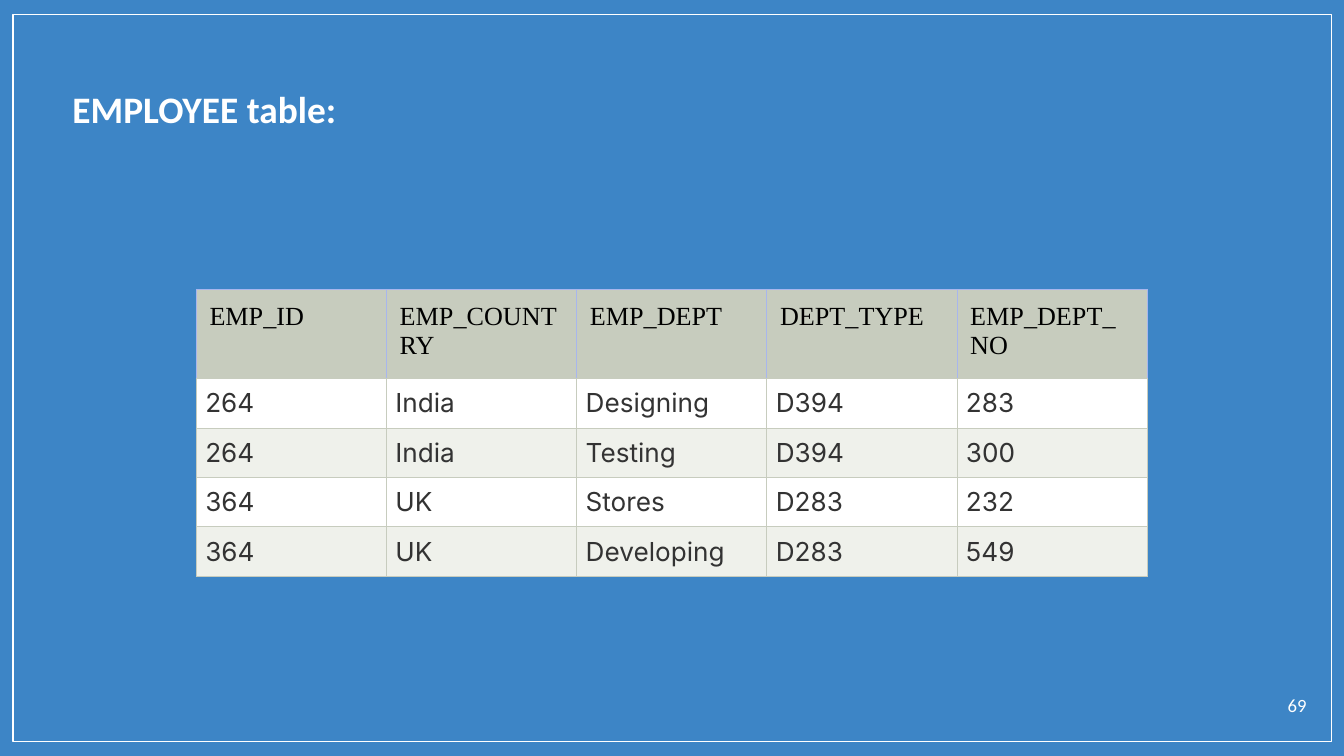
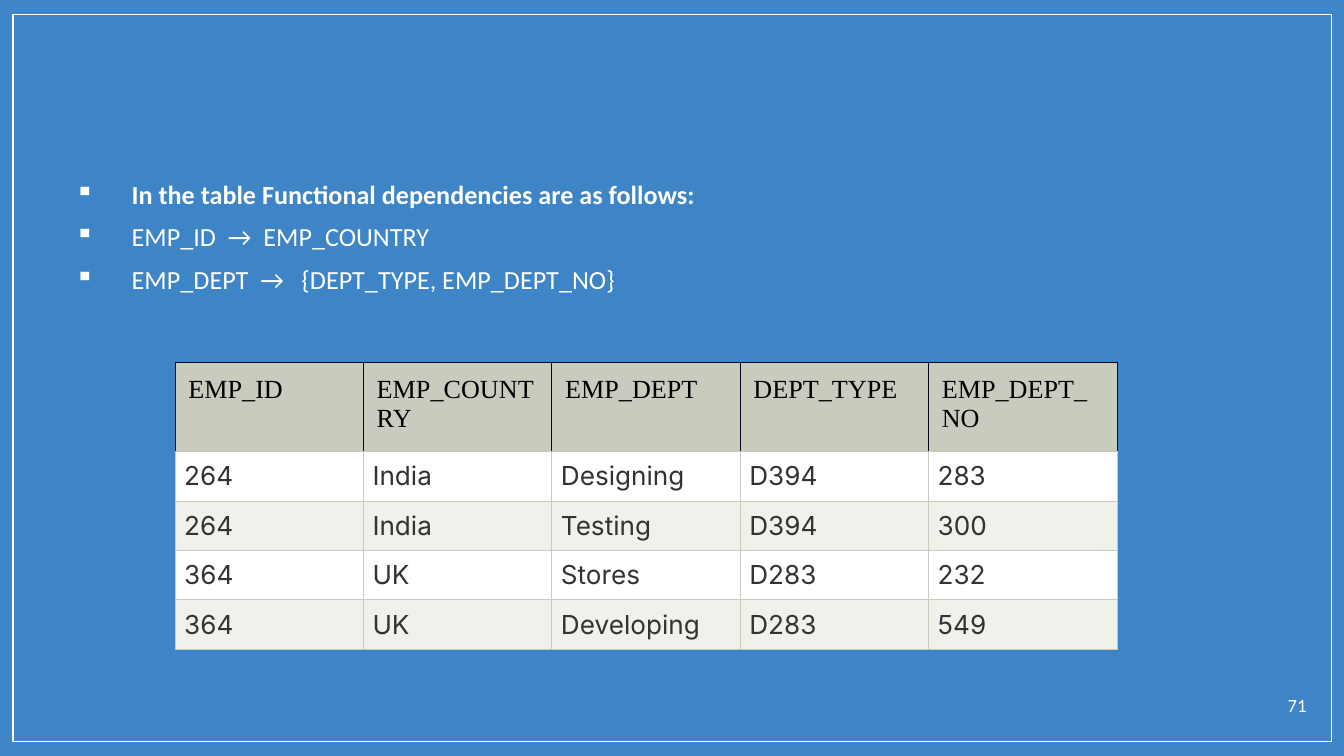
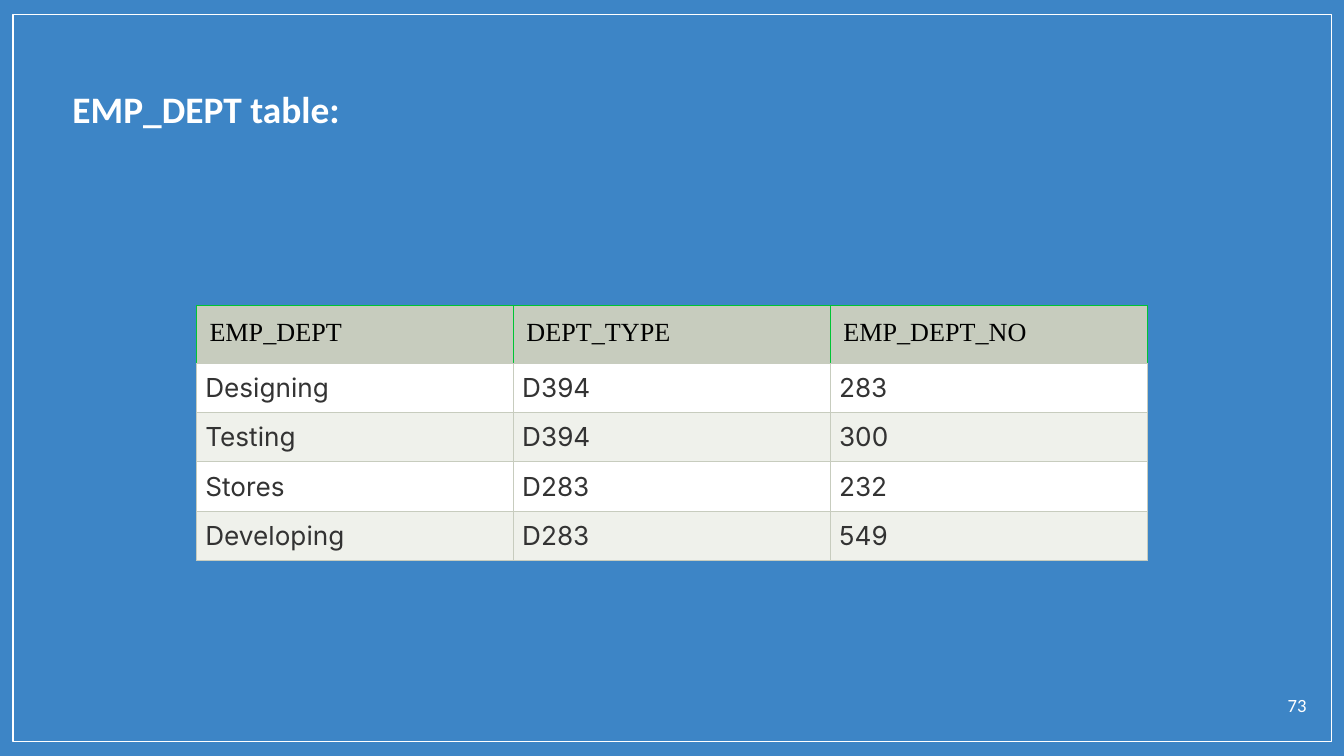
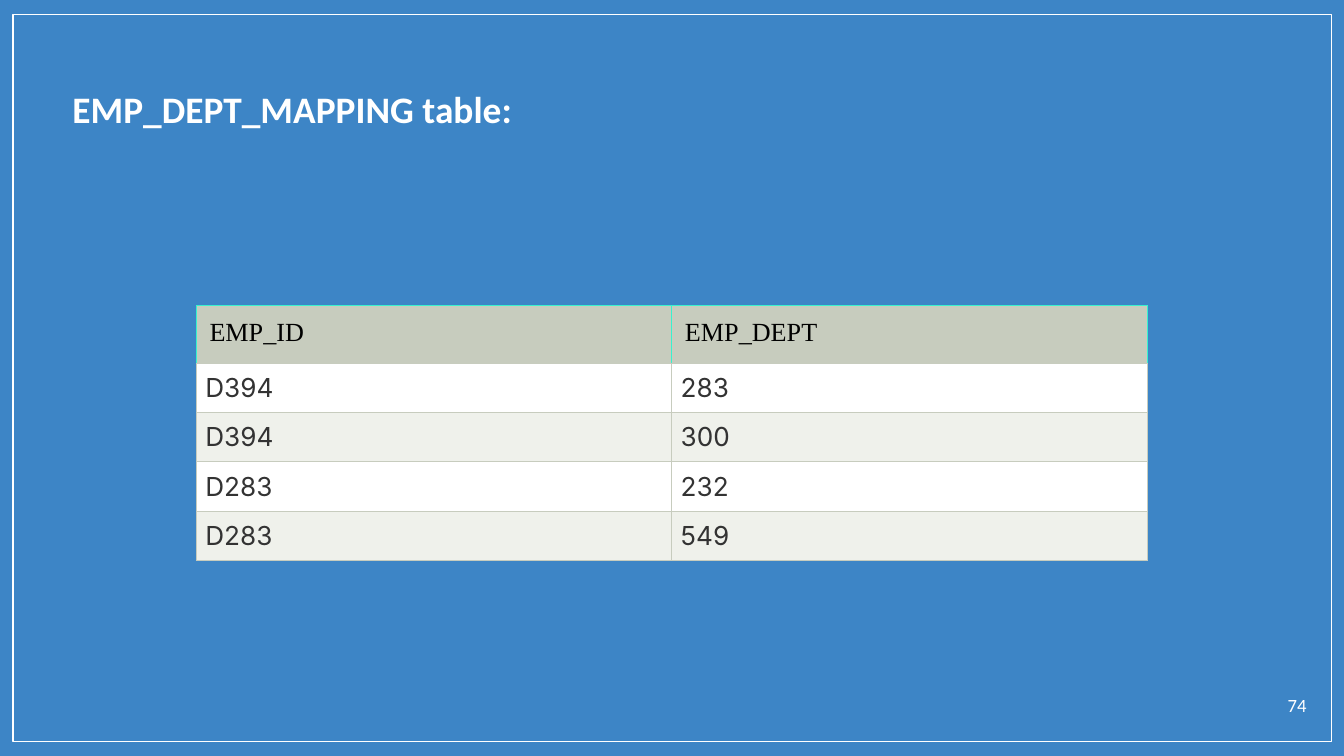
import pptx
import pptx.dml.color
import pptx.enum.shapes
import pptx.enum.text
import pptx.oxml
import pptx.oxml.ns
import pptx.util

Cm = pptx.util.Cm
Pt = pptx.util.Pt
ALIGN = pptx.enum.text.PP_ALIGN

# Shared colours and text formats
BLUE, WHITE, SAGE, PALE = "3D85C6", "FFFFFF", "C7CCBE", "EFF1EB"
TITLE = {"name": "Calibri", "size": Pt(20), "bold": True, "color": WHITE}
BODY = {"name": "Calibri", "size": Pt(14), "bold": False, "color": WHITE}
PAGE = {"name": "Calibri", "size": Pt(10), "color": WHITE}
HEAD = {"name": "Times New Roman", "size": Pt(14), "bold": False, "color": "000000"}
CELL = {"name": "Inter", "size": Pt(14), "bold": False, "color": "333333"}

# Table content; the smaller tables use the last columns
NAMES = ["EMP_ID", "EMP_COUNTRY", "EMP_DEPT", "DEPT_TYPE", "EMP_DEPT_NO"]
STAFF = [
    ["264", "India", "Designing", "D394", "283"],
    ["264", "India", "Testing", "D394", "300"],
    ["364", "UK", "Stores", "D283", "232"],
    ["364", "UK", "Developing", "D283", "549"],
]
RULES = [
    "In the table Functional dependencies are as follows:",
    "EMP_ID  →  EMP_COUNTRY",
    "EMP_DEPT  →   {DEPT_TYPE, EMP_DEPT_NO}",
]


def paint(hue):
    return pptx.dml.color.RGBColor.from_string(hue)


def add_xml(parent, body):
    space = pptx.oxml.ns.nsdecls("a")
    parent.append(pptx.oxml.parse_xml(body.replace(">", f" {space}>", 1)))


def write(para, text, form):
    run = para.add_run()
    run.text = text
    for key, value in form.items():
        if key == "color":
            run.font.color.rgb = paint(value)
        else:
            setattr(run.font, key, value)


def inset(target, gap):
    for side in ("left", "top", "right", "bottom"):
        setattr(target, f"margin_{side}", Cm(gap))


def add_text(slide, place, lines, form, align=ALIGN.LEFT):
    """Add a text box and return its paragraphs."""
    frame = slide.shapes.add_textbox(*map(Cm, place)).text_frame
    frame.word_wrap = True
    inset(frame, 0.25)
    for i, line in enumerate(lines):
        para = frame.add_paragraph() if i else frame.paragraphs[0]
        para.alignment = align
        write(para, line, form)
    return frame.paragraphs


def add_list(slide, lines):
    paras = add_text(slide, (0.97, 3.12, 23.04, 10.11), lines, BODY)
    for i, para in enumerate(paras):
        props = para._p.get_or_add_pPr()
        props.set("marL", str(Cm(1.27)))
        props.set("indent", str(Cm(-1.07)))
        add_xml(props, f'<a:buClr><a:srgbClr val="{WHITE}"/></a:buClr>')
        add_xml(props, '<a:buChar char="▪"></a:buChar>')
        if i:
            para.space_before = Pt(6)
    paras[0].runs[0].font.bold = True


def add_edges(cell, hues):
    props = cell._tc.get_or_add_tcPr()
    for side, hue in zip("LRTB", hues):
        add_xml(props, f'<a:ln{side} w="{Pt(0.6)}"><a:solidFill>'
                       f'<a:srgbClr val="{hue}"/></a:solidFill></a:ln{side}>')


def fill_cell(cell, text, form, fill, hues, gap, align):
    inset(cell, gap)
    para = cell.text_frame.paragraphs[0]
    para.alignment = align
    write(para, text, form)
    add_edges(cell, hues)
    cell.fill.solid()
    cell.fill.fore_color.rgb = paint(fill)


def add_grid(slide, left, top, width, head, names, rows, edge):
    """Add a table with equal columns and a taller header row."""
    tall = 0.93
    frame = slide.shapes.add_table(
        len(rows) + 1, len(names), Cm(left), Cm(top),
        Cm(width), Cm(head + tall * len(rows)))
    table = frame.table
    table.first_row = table.horz_banding = False
    for col in table.columns:
        col.width = Cm(width / len(names))
    for r, row in enumerate([names] + rows):
        table.rows[r].height = Cm(tall if r else head)
        for c, text in enumerate(row):
            cell = table.cell(r, c)
            if r:
                fill = WHITE if r % 2 else PALE
                fill_cell(cell, text, CELL, fill, [SAGE] * 4, 0.17, ALIGN.JUSTIFY)
            else:
                hues = [edge, edge, edge, SAGE]
                fill_cell(cell, text, HEAD, SAGE, hues, 0.25, ALIGN.LEFT)


def add_slide(deck, page, title=None):
    """Start a slide with its background, border, title and number."""
    slide = deck.slides.add_slide(deck.slide_layouts[6])
    slide.background.fill.solid()
    slide.background.fill.fore_color.rgb = paint(BLUE)
    border = slide.shapes.add_shape(
        pptx.enum.shapes.MSO_SHAPE.RECTANGLE,
        *map(Cm, (0.25, 0.27, 24.92, 13.75)))
    border.shadow.inherit = False
    border.fill.background()
    border.line.color.rgb = paint(WHITE)
    border.line.width = Pt(0.75)
    if title:
        add_text(slide, (1.12, 1.37, 22.86, 1.14), [title], TITLE)
    add_text(slide, (23.67, 12.9, 1.27, 0.81), [str(page)], PAGE, ALIGN.RIGHT)
    return slide


def main():
    deck = pptx.Presentation()
    deck.slide_width, deck.slide_height = Cm(25.4), Cm(14.29)

    # Full employee table
    slide = add_slide(deck, 69, "EMPLOYEE table:")
    add_grid(slide, 3.71, 5.47, 17.97, 1.61, NAMES, STAFF, "A8B6ED")

    # Functional dependencies
    slide = add_slide(deck, 71)
    add_list(slide, RULES)
    add_grid(slide, 3.31, 6.85, 17.8, 1.61, NAMES, STAFF, "100523")

    # Department table
    slide = add_slide(deck, 73, "EMP_DEPT table:")
    depts = [row[2:] for row in STAFF]
    add_grid(slide, 3.71, 5.77, 17.97, 1.03, NAMES[2:], depts, "00C434")

    # Mapping table
    slide = add_slide(deck, 74, "EMP_DEPT_MAPPING table:")
    pairs = [row[3:] for row in STAFF]
    add_grid(slide, 3.71, 5.77, 17.97, 1.03, ["EMP_ID", "EMP_DEPT"], pairs, "38F1CE")

    deck.save("out.pptx")


if __name__ == "__main__":
    main()
